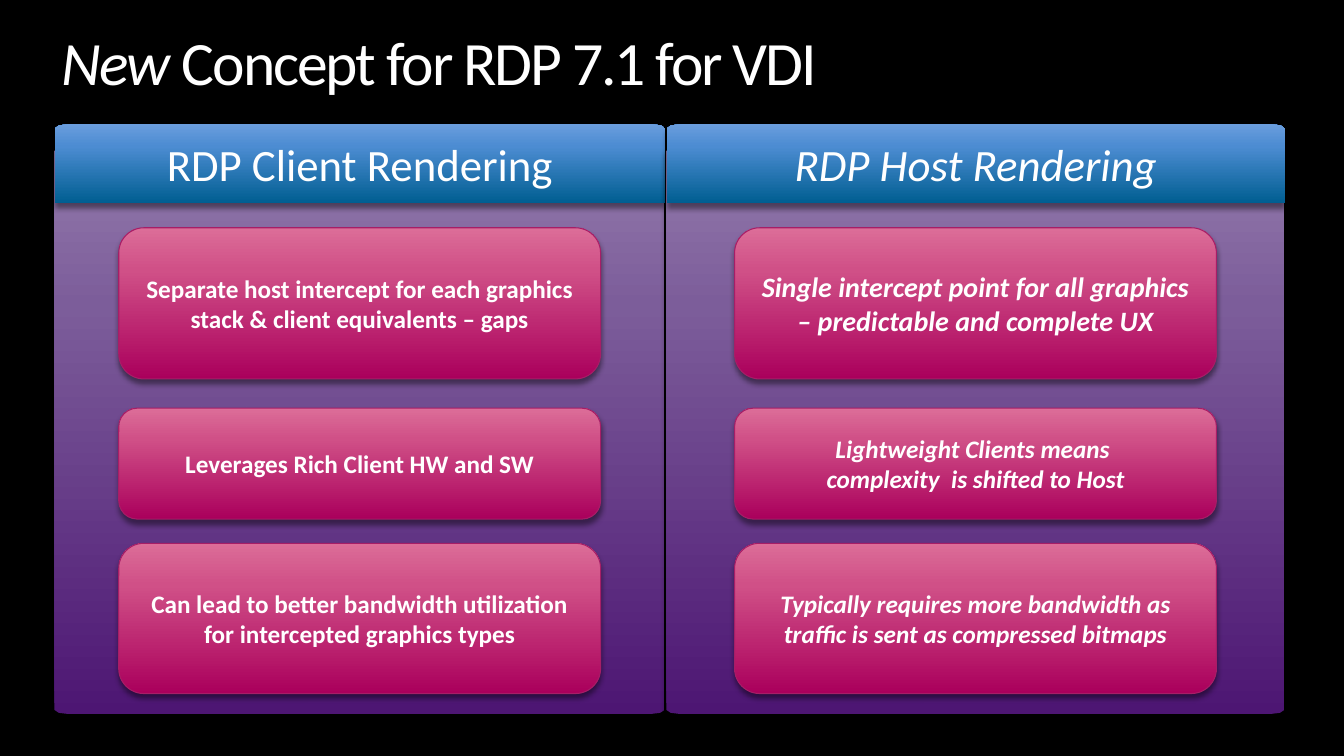
from copy import deepcopy
from dataclasses import dataclass
from math import cos, pi, sin

from lxml.etree import SubElement as Sub
from pptx import Presentation
from pptx.dml.color import RGBColor as Rgb
from pptx.enum.shapes import MSO_SHAPE as Kind
from pptx.enum.text import MSO_ANCHOR as Anchor, PP_ALIGN as Align
from pptx.oxml.ns import qn
from pptx.shapes.autoshape import Shape
from pptx.slide import Slide
from pptx.text.text import Font
from pptx.util import Pt

PURPLE = ("4D1673", "7C5D9A", "937AAC")
BLUE = ("005E91", "4C8CD2", "6A9DDD")
PINK = ("AA005C", "D05087", "DC6D98")
STOPS = (0, 0.72, 1)
CARD_W = 344.2
ROWS = ((162.7, 108), (291.6, 79.2), (388.1, 107.3))


@dataclass
class Box:
    x: float
    y: float
    w: float
    h: float


@dataclass
class Card:
    text: str
    size: int = 18


@dataclass
class Side:
    x: float
    w: float
    inner: float
    head: str
    italic: bool
    cards: tuple[Card, ...]


SIDES = (
    Side(38.9, 435.8, 84.8, "RDP Client Rendering", False, (
        Card("Separate host intercept for each graphics stack & client equivalents – gaps"),
        Card("Leverages Rich Client HW and SW"),
        Card("Can lead to better bandwidth utilization for intercepted graphics types"),
    )),
    Side(476, 441.4, 524.7, "RDP Host Rendering", True, (
        Card("Single intercept point for all graphics – predictable and complete UX", 20),
        Card("Lightweight Clients means \ncomplexity  is shifted to Host"),
        Card("Typically requires more bandwidth as traffic is sent as compressed bitmaps"),
    )),
)


def color(code: str) -> Rgb:
    return Rgb.from_string(code)


def style(font: Font, **form: object) -> None:
    for name, value in ({"name": "Calibri"} | form).items():
        setattr(font, name, value)
    font.color.rgb = color("FFFFFF")


def paint(shape: Shape, tones: tuple[str, ...]) -> None:
    fill = shape.fill
    fill.gradient()
    fill.gradient_angle = 90
    stops = shape._element.spPr.find(".//" + qn("a:gsLst"))
    stops.append(deepcopy(stops[-1]))
    for stop, place, tone in zip(fill.gradient_stops, STOPS, tones):
        stop.position = place
        stop.color.rgb = color(tone)
    shape.shadow.inherit = False
    effects = shape._element.spPr.find(qn("a:effectLst"))
    shade = Sub(effects, qn("a:outerShdw"), blurRad=str(Pt(4)), dist=str(Pt(3)),
                dir="5400000", algn="ctr", rotWithShape="0")
    tint = Sub(shade, qn("a:srgbClr"), val="000000")
    Sub(tint, qn("a:alpha"), val="43000")


def write(shape: Shape, text: str, **form: object) -> None:
    frame = shape.text_frame
    frame.word_wrap = True
    frame.vertical_anchor = Anchor.MIDDLE
    para = frame.paragraphs[0]
    para.text = text
    para.alignment = Align.CENTER
    for run in para.runs:
        style(run.font, **form)


def add_panel(slide: Slide, box: Box, tones: tuple[str, ...], foot: bool) -> Shape:
    points = []
    for turn, (right, low) in enumerate(((0, 0), (1, 0), (1, 1), (0, 1))):
        curved = foot or not low
        rx, ry = (10.8, 3) if curved else (0, 0)
        cx = box.x + (box.w - rx if right else rx)
        cy = box.y + (box.h - ry if low else ry)
        for step in range(3 if curved else 1):
            angle = pi + (turn + step / 2) * pi / 2
            points.append((Pt(cx + rx * cos(angle)), Pt(cy + ry * sin(angle))))
    path = slide.shapes.build_freeform(*points[0])
    path.add_line_segments(points[1:], close=True)
    shape = path.convert_to_shape()
    paint(shape, tones)
    shape.line.fill.background()
    return shape


def add_card(slide: Slide, box: Box, card: Card, italic: bool) -> None:
    shape = slide.shapes.add_shape(
        Kind.ROUNDED_RECTANGLE, Pt(box.x), Pt(box.y), Pt(box.w), Pt(box.h))
    paint(shape, PINK)
    shape.line.color.rgb = color("A61E67")
    shape.line.width = Pt(0.75)
    write(shape, card.text, size=Pt(card.size), bold=True, italic=italic)


def add_title(slide: Slide) -> None:
    frame = slide.shapes.add_textbox(Pt(43.9), Pt(23), Pt(879), Pt(48.2)).text_frame
    for name in ("left", "top", "right", "bottom"):
        setattr(frame, f"margin_{name}", 0)
    frame.word_wrap = True
    para = frame.paragraphs[0]
    para.line_spacing = 0.9
    for text, italic in (("New", True), (" Concept for RDP 7.1 for VDI", False)):
        run = para.add_run()
        run.text = text
        style(run.font, size=Pt(44), italic=italic)
        run._r.get_or_add_rPr().set("spc", "-150")


def main() -> None:
    deck = Presentation()
    deck.slide_width, deck.slide_height = Pt(960), Pt(540)
    slide = deck.slides.add_slide(deck.slide_layouts[6])
    ground = slide.background.fill
    ground.solid()
    ground.fore_color.rgb = color("000000")
    add_title(slide)
    for side in SIDES:
        add_panel(slide, Box(side.x, 105.1, side.w, 405), PURPLE, True)
        head = add_panel(slide, Box(side.x + 0.4, 88.7, side.w, 56.5), BLUE, False)
        write(head, side.head, size=Pt(32), italic=side.italic)
        for (y, h), card in zip(ROWS, side.cards):
            add_card(slide, Box(side.inner, y, CARD_W, h), card, side.italic)
    deck.save("out.pptx")


if __name__ == "__main__":
    main()
